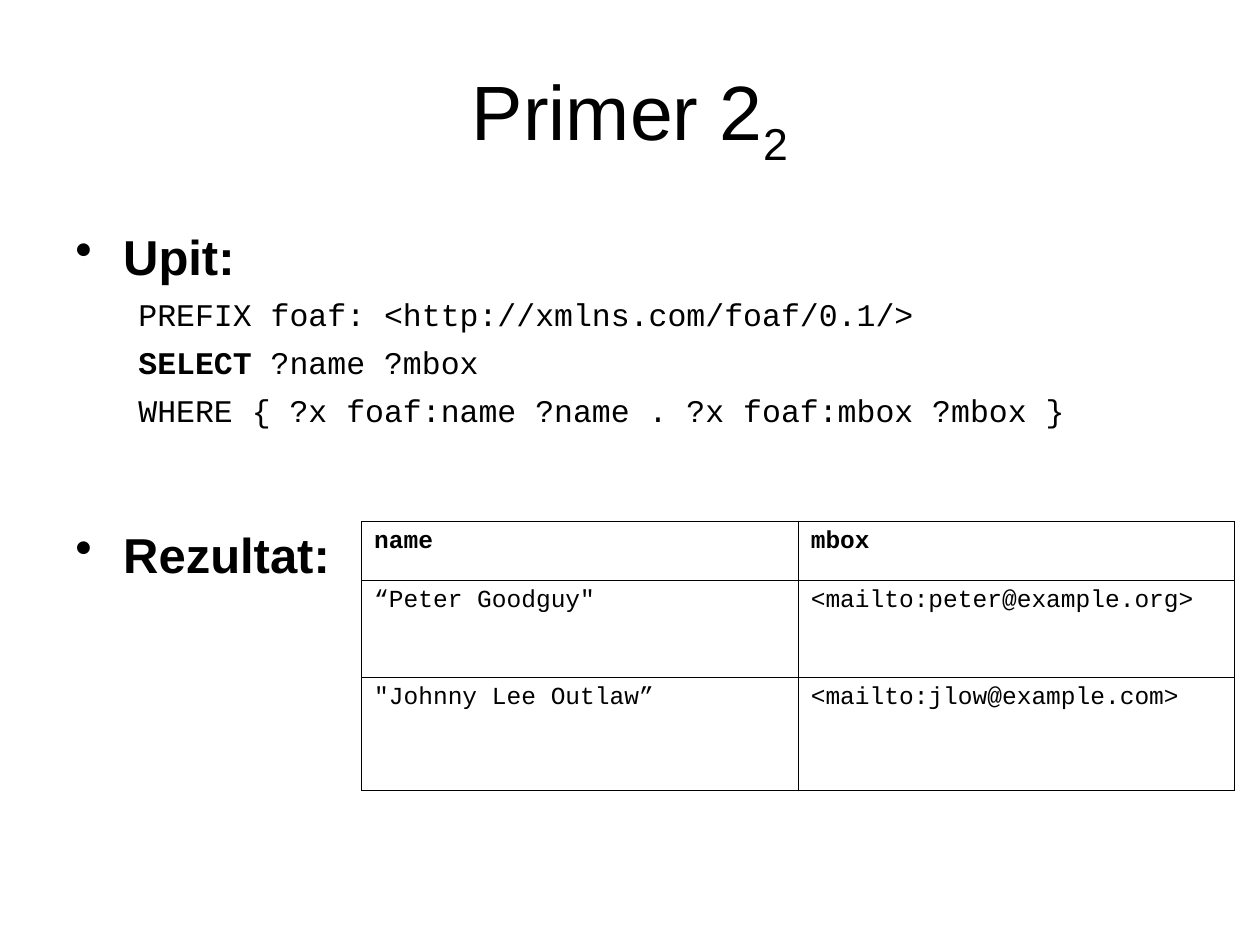
import pptx
import pptx.dml.color
import pptx.enum.text
import pptx.oxml
import pptx.oxml.ns
import pptx.util
from lxml import etree

Inches, Pt = pptx.util.Inches, pptx.util.Pt
COLORS = {"text": "000000", "border": "000000"}
SANS, MONO = "Arial", "Courier New"

# Content: runs are (text, format changes)
TITLE = [("Primer 2", {}), ("2", {"subscript": True})]
HEADING = {"size": 28, "font": SANS, "bold": True, "margin": 0.38, "hang": 0.38, "bullet": "•"}
CODE = {"size": 18, "font": MONO, "margin": 0.81, "hang": 0.31, "before": 5.6, "level": 1}
BODY = [
    ([("Upit:", {})], HEADING | {"before": 7}),
    ([("PREFIX foaf: <http://xmlns.com/foaf/0.1/>", {})], CODE),
    ([("SELECT", {"bold": True}), (" ?name ?mbox", {})], CODE),
    ([("WHERE { ?x foaf:name ?name . ?x foaf:mbox ?mbox }", {})], CODE),
    ([("Rezultat:", {})], HEADING | {"before": 55}),
]
RESULTS = [
    ("name", "mbox"),
    ("“Peter Goodguy\"", "<mailto:peter@example.org>"),
    ("\"Johnny Lee Outlaw”", "<mailto:jlow@example.com>"),
]

# Layout in inches: left, top, width, height
SLIDE = (10, 7.5)
TITLE_BOX = (0.5, 0.3, 9, 1.25)
BODY_BOX = (0.5, 1.75, 9.3, 4.95)
TABLE_LEFT, TABLE_TOP, TABLE_WIDTH = 2.87, 4.14, 6.93
ROW_HEIGHTS = (0.47, 0.77, 0.89)


def add_runs(paragraph, runs, base):
    for words, changes in runs:
        style = base | changes
        run = paragraph.add_run()
        run.text = words
        formats = {"name": style["font"], "size": Pt(style["size"]), "bold": style.get("bold", False)}
        for attribute, value in formats.items():
            setattr(run.font, attribute, value)
        run.font.color.rgb = pptx.dml.color.RGBColor.from_string(COLORS["text"])
        if style.get("subscript"):
            run.font._element.set("baseline", "-25000")


def add_bullet(paragraph, style):
    properties = paragraph._p.get_or_add_pPr()
    properties.set("marL", str(Inches(style["margin"])))
    properties.set("indent", str(-Inches(style["hang"])))
    kind = "a:buChar" if "bullet" in style else "a:buNone"
    bullet = etree.SubElement(properties, pptx.oxml.ns.qn(kind))
    if "bullet" in style:
        bullet.set("char", style["bullet"])


def add_borders(cell):
    properties = cell._tc.get_or_add_tcPr()
    for position, side in enumerate(("lnL", "lnR", "lnT", "lnB")):
        properties.insert(position, pptx.oxml.parse_xml(
            f'<a:{side} {pptx.oxml.ns.nsdecls("a")} w="{Pt(0.45)}"><a:solidFill>'
            f'<a:srgbClr val="{COLORS["border"]}"/></a:solidFill></a:{side}>'))


deck = pptx.Presentation()
deck.slide_width, deck.slide_height = map(Inches, SLIDE)
slide = deck.slides.add_slide(deck.slide_layouts[5])

# Title
title = slide.shapes.title
title.left, title.top, title.width, title.height = map(Inches, TITLE_BOX)
title.text_frame.vertical_anchor = pptx.enum.text.MSO_ANCHOR.MIDDLE
heading = title.text_frame.paragraphs[0]
heading.alignment = pptx.enum.text.PP_ALIGN.CENTER
add_runs(heading, TITLE, {"size": 44, "font": SANS})

# Query and result headings
body = slide.shapes.add_textbox(*map(Inches, BODY_BOX)).text_frame
body.word_wrap = True
for index, (runs, style) in enumerate(BODY):
    line = body.add_paragraph() if index else body.paragraphs[0]
    line.level = style.get("level", 0)
    line.space_before = Pt(style["before"])
    add_bullet(line, style)
    add_runs(line, runs, style)

# Result table
columns = len(RESULTS[0])
results = slide.shapes.add_table(
    len(RESULTS), columns, Inches(TABLE_LEFT), Inches(TABLE_TOP),
    Inches(TABLE_WIDTH), Inches(sum(ROW_HEIGHTS))).table
results.horz_banding = False
for column in results.columns:
    column.width = Inches(TABLE_WIDTH / columns)
for row, (values, height) in enumerate(zip(RESULTS, ROW_HEIGHTS)):
    results.rows[row].height = Inches(height)
    for column, value in enumerate(values):
        cell = results.cell(row, column)
        cell.fill.background()
        add_borders(cell)
        entry = cell.text_frame.paragraphs[0]
        entry.space_before = Pt(3.5)
        add_runs(entry, [(value, {})], {"size": 14, "font": MONO, "bold": row == 0})

deck.save("out.pptx")
